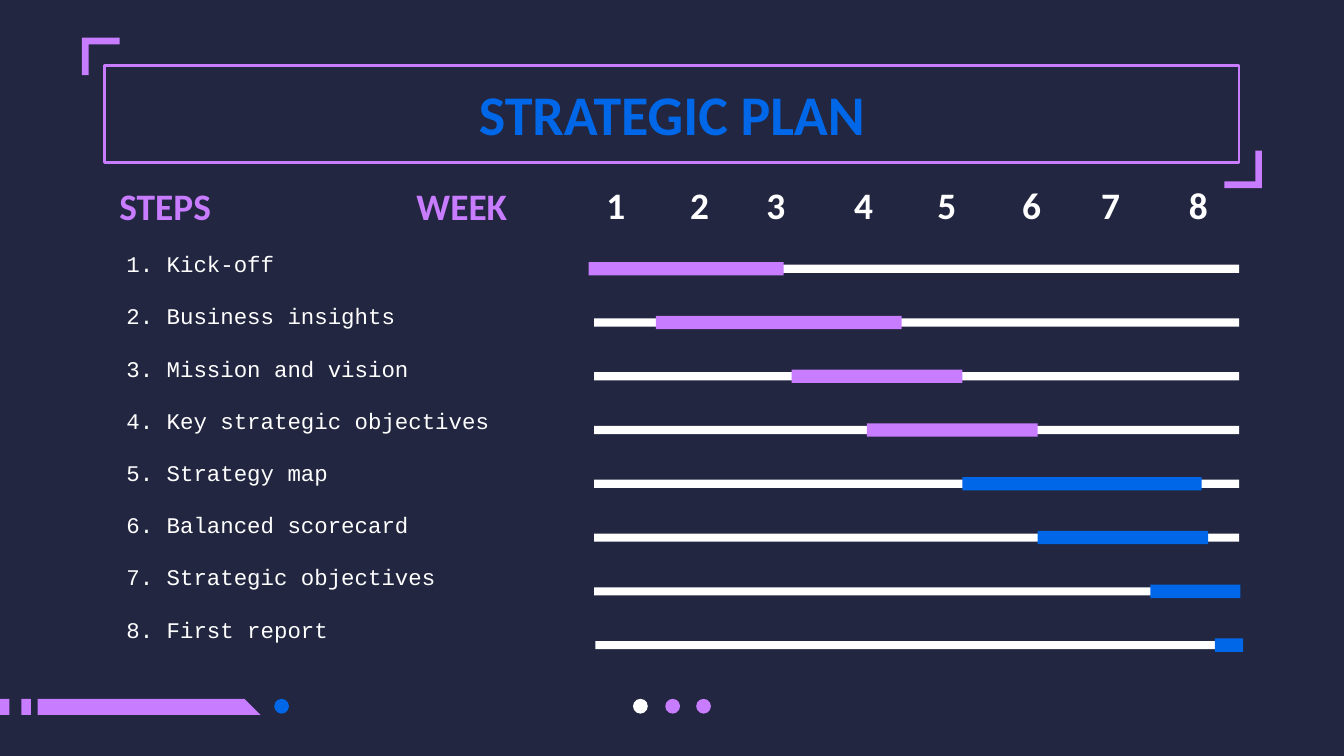
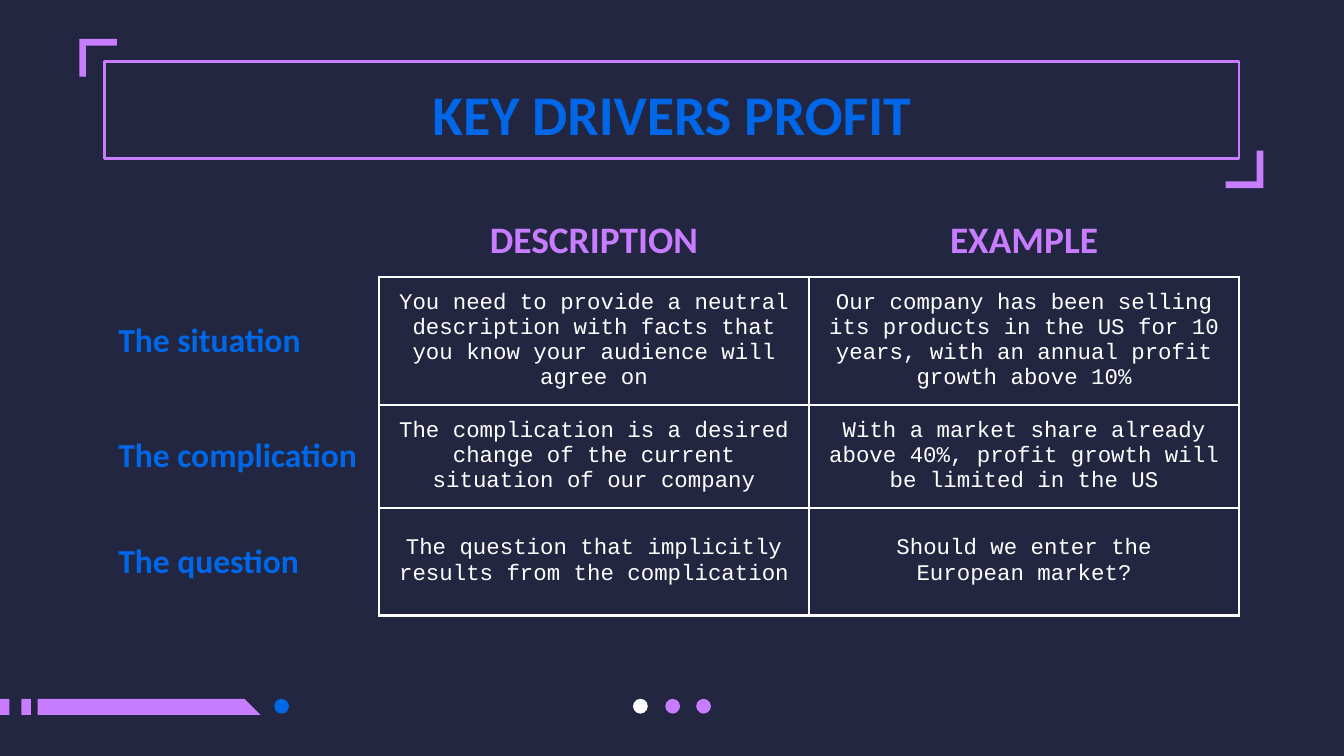
from lxml import etree
from pptx import Presentation
from pptx.dml.color import RGBColor
from pptx.enum import shapes, text
from pptx.oxml.ns import qn
from pptx.util import Inches, Pt

NAVY, PURPLE, BLUE, WHITE = "222640", "C87CFF", "0068E8", "FFFFFF"
HEAD, BODY = "Calibri", "Courier New"
CENTER, LEFT = text.PP_ALIGN.CENTER, text.PP_ALIGN.LEFT
MIDDLE, TOP = text.MSO_ANCHOR.MIDDLE, text.MSO_ANCHOR.TOP

FOOTER_BARS = [
    [(0, 5.2), (0, 5.32), (0.07, 5.32), (0.07, 5.2)],
    [(0.16, 5.2), (0.16, 5.32), (0.23, 5.32), (0.23, 5.2)],
    [(0.28, 5.2), (0.28, 5.32), (1.94, 5.32), (1.82, 5.2)],
]
FOOTER_DOTS = [(2.04, BLUE), (4.71, WHITE), (4.95, PURPLE), (5.18, PURPLE)]
BRACKET = [(0, 0.28), (0, 0), (0.28, 0), (0.28, 0.05), (0.05, 0.05), (0.05, 0.28)]

STEPS = [
    ("1. Kick-off", 4.38, 1.45, PURPLE),
    ("2. Business insights", 4.88, 1.83, PURPLE),
    ("3. Mission and vision", 5.89, 1.27, PURPLE),
    ("4. Key strategic objectives", 6.45, 1.27, PURPLE),
    ("5. Strategy map", 7.16, 1.78, BLUE),
    ("6. Balanced scorecard", 7.72, 1.27, BLUE),
    ("7. Strategic objectives", 8.56, 0.67, BLUE),
    ("8. First report", 9.04, 0.21, BLUE),
]
WEEKS = [("1 ", 4.35, 0.53), ("2", 4.94, 0.53), ("3 ", 5.54, 0.53), ("4", 6.13, 0.59),
         ("5", 6.78, 0.53), ("6", 7.38, 0.59), ("7 ", 8.03, 0.53), ("8", 8.62, 0.59)]
DRIVERS = [
    ("", "DESCRIPTION", "EXAMPLE"),
    ("The situation",
     "You need to provide a neutral description with facts that you know your audience will agree on",
     "Our company has been selling its products in the US for 10 years, with an annual profit growth above 10%"),
    ("The complication",
     "The complication is a desired change of the current situation of our company",
     "With a market share already above 40%, profit growth will be limited in the US"),
    ("The question",
     "The question that implicitly results from the complication",
     "Should we enter the\nEuropean market?"),
]


def rgb(value):
    return RGBColor.from_string(value)


def inches(*values):
    return [Inches(value) for value in values]


def style(holder, size, color, name=HEAD, bold=True, align=LEFT, anchor=MIDDLE):
    holder.vertical_anchor = anchor
    holder.margin_left = holder.margin_right = Inches(0.1)
    holder.margin_top = holder.margin_bottom = Inches(0.1)
    frame = getattr(holder, "text_frame", holder)
    for para in frame.paragraphs:
        para.alignment = align
        font = para.font
        font.size, font.name, font.bold = Pt(size), name, bold
        font.color.rgb = rgb(color)


def paint(shape, color):
    shape.shadow.inherit = False
    shape.fill.solid()
    shape.fill.fore_color.rgb = rgb(color)
    shape.line.fill.background()


def add_block(page, kind, place, color):
    block = page.shapes.add_shape(kind, *inches(*place))
    paint(block, color)
    return block


def add_outline(page, contours, color):
    builder = None
    for contour in contours:
        points = [inches(*point) for point in contour]
        if builder is None:
            builder = page.shapes.build_freeform(*points[0])
        else:
            builder.move_to(*points[0])
        builder.add_line_segments(points[1:], close=True)
    paint(builder.convert_to_shape(), color)


def add_label(page, words, place, color, align=LEFT):
    box = page.shapes.add_textbox(*inches(*place))
    frame = box.text_frame
    frame.word_wrap = True
    frame.text = words
    style(frame, 20, color, align=align)


def add_page(deck, title, frame_top, top_left, bottom_right):
    page = deck.slides.add_slide(deck.slide_layouts[5])
    add_outline(page, FOOTER_BARS, PURPLE)
    for left, color in FOOTER_DOTS:
        add_block(page, shapes.MSO_SHAPE.OVAL, (left, 5.2, 0.11, 0.11), color)

    border = add_block(page, shapes.MSO_SHAPE.RECTANGLE, (0.78, frame_top, 8.44, 0.72), NAVY)
    border.fill.background()
    border.line.color.rgb = rgb(PURPLE)
    border.line.width = Pt(1.5)
    for (x, y), sign in ((top_left, 1), (bottom_right, -1)):
        add_outline(page, [[(x + sign * dx, y + sign * dy) for dx, dy in BRACKET]], PURPLE)

    heading = page.shapes.title
    heading.left, heading.top, heading.width, heading.height = inches(0.78, 0.49, 8.44, 0.63)
    frame = heading.text_frame
    frame.text = title
    frame.word_wrap = True
    frame.auto_size = text.MSO_AUTO_SIZE.NONE
    style(frame, 30, BLUE, align=CENTER, anchor=TOP)
    return page


def set_borders(cell, shown):
    props = cell._tc.get_or_add_tcPr()
    for index, side in enumerate("LRTB"):
        line = etree.Element(qn(f"a:ln{side}"), w=str(Pt(1.5)))
        if side in shown:
            fill = etree.SubElement(line, qn("a:solidFill"))
            etree.SubElement(fill, qn("a:srgbClr"), val=WHITE)
        else:
            etree.SubElement(line, qn("a:noFill"))
        props.insert(index, line)


def add_grid(page, place, columns, rows):
    table = page.shapes.add_table(len(rows), len(columns), *inches(*place)).table
    table.first_row = table.horz_banding = False
    for column, width in zip(table.columns, columns):
        column.width = Inches(width)
    for row, height in zip(table.rows, rows):
        row.height = Inches(height)
    for cell in table.iter_cells():
        cell.fill.background()
    return table


def build_plan(deck):
    page = add_page(deck, "STRATEGIC PLAN", 0.49, (0.61, 0.28), (9.39, 1.4))
    columns = [3.02] + [(8.46 - 3.02) / 13] * 13
    table = add_grid(page, (0.84, 1.79, 8.46, 3.2), columns, [0.36] * len(STEPS))
    for row, step in enumerate(STEPS):
        table.cell(row, 0).text = step[0]
    for cell in table.iter_cells():
        style(cell, 12, WHITE, BODY, False, anchor=TOP)
        set_borders(cell, "")
        if not cell.text:
            etree.SubElement(cell.text_frame.paragraphs[0]._p, qn("a:endParaRPr"), sz="1200")
    table.cell(0, 1).merge(table.cell(len(STEPS) - 1, 13))

    for row, (_, left, width, color) in enumerate(STEPS):
        top = 1.95 + 0.4 * row
        track_left = 4.43 if row == len(STEPS) - 1 else 4.42
        for place, fill in (((track_left, top + 0.02, 4.8, 0.06), WHITE),
                            ((left, top, width, 0.1), color)):
            bar = add_block(page, shapes.MSO_SHAPE.ROUNDED_RECTANGLE, place, fill)
            bar.adjustments[0] = 0

    add_label(page, "STEPS", (0.79, 1.28, 1.41, 0.5), PURPLE)
    add_label(page, "WEEK", (3, 1.28, 1.41, 0.5), PURPLE)
    for week, left, width in WEEKS:
        add_label(page, week, (left, 1.27, width, 0.5), WHITE, CENTER)


def build_drivers(deck):
    page = add_page(deck, "KEY DRIVERS PROFIT", 0.46, (0.59, 0.29), (9.4, 1.4))
    table = add_grid(page, (0.78, 1.52, 8.44, 3.13), [2.04, 3.2, 3.2], [0.47, 0.47, 0.47, 0.8])
    for row, words in enumerate(DRIVERS):
        for column, value in enumerate(words):
            cell = table.cell(row, column)
            cell.text = value
            if row == 0:
                style(cell, 20, PURPLE, align=CENTER)
                set_borders(cell, "B" if column else "")
            elif column == 0:
                style(cell, 18, BLUE)
                set_borders(cell, "R")
            else:
                style(cell, 12, WHITE, BODY, False, CENTER)
                set_borders(cell, "LRTB")


def main():
    """Build the strategic plan and profit driver slides."""
    deck = Presentation()
    deck.slide_width = Inches(10)
    deck.slide_height = deck.slide_width * 9 // 16
    background = deck.slide_master.background.fill
    background.solid()
    background.fore_color.rgb = rgb(NAVY)
    build_plan(deck)
    build_drivers(deck)
    deck.save("out.pptx")


if __name__ == "__main__":
    main()
